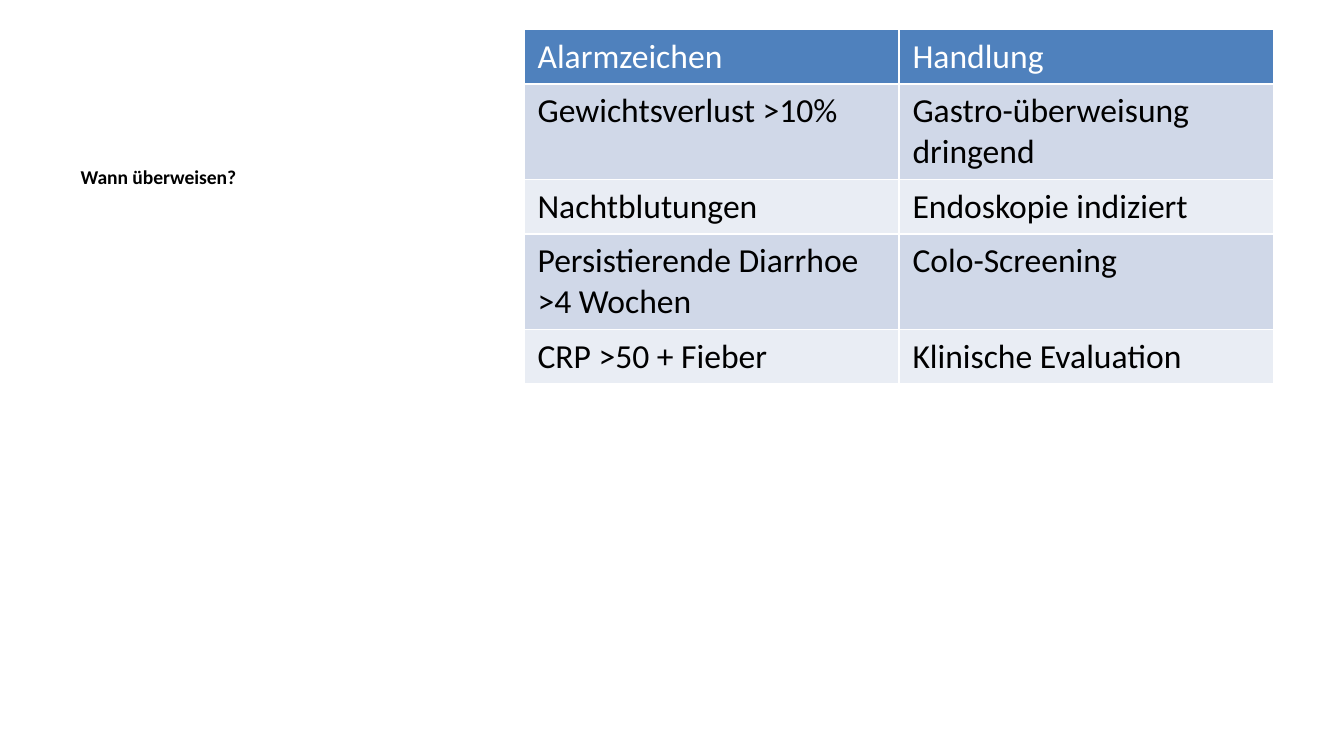
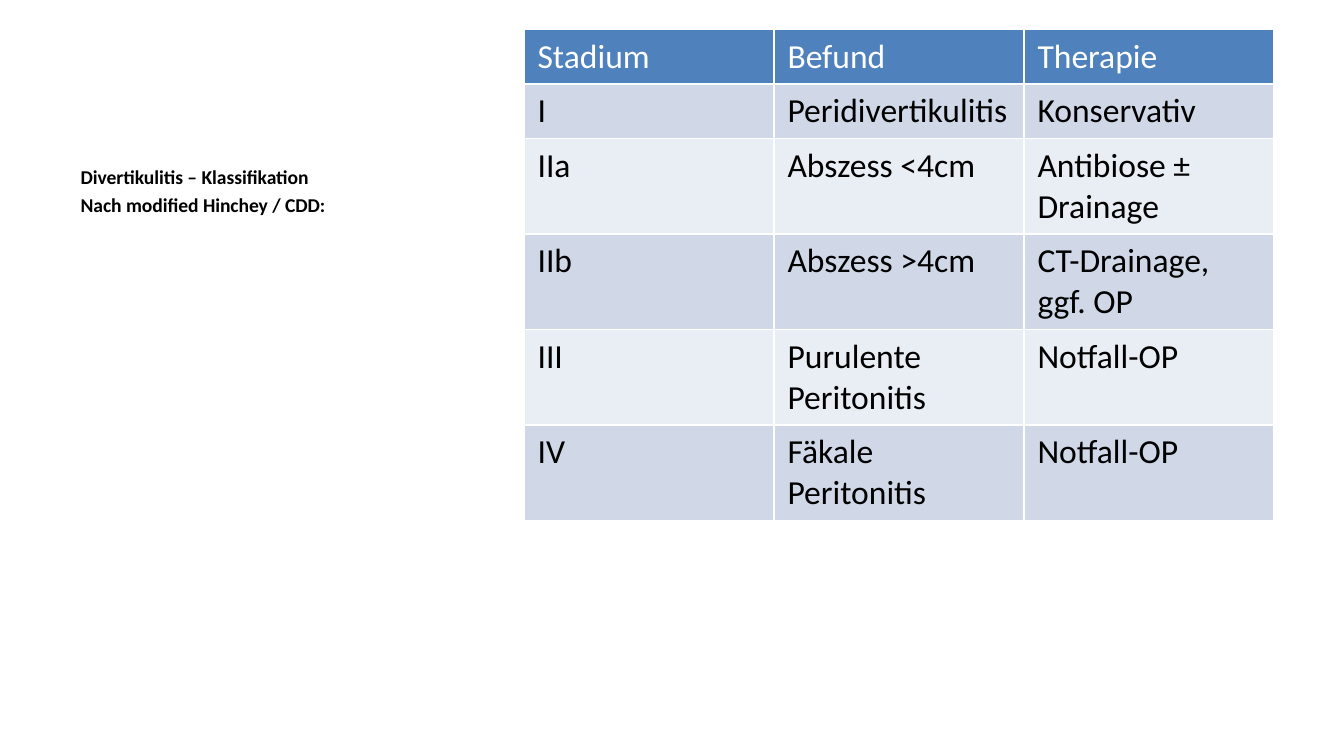
"""Build two slides, each with a caption on the left and a table on the right."""
from pptx import Presentation
from pptx.dml.color import RGBColor
from pptx.util import Inches, Pt

FONT = "Calibri"
BLACK, WHITE, HEAD = "000000", "FFFFFF", "4F81BD"
BANDS = ("D0D8E8", "E9EDF4")
CAPTION_LAYOUT, BODY = 7, 2
WIDTH = Inches(10)
HEIGHT = WIDTH * 9 // 16
TEXT_BOX = (0.5, 1.18, 3.29, 3.85)
GRID_BOX = (3.9, 0.22, 5.58, 4.79)

SLIDES = [
    (
        ["Wann überweisen?"],
        [
            ("Alarmzeichen", "Handlung"),
            ("Gewichtsverlust >10%", "Gastro-überweisung dringend"),
            ("Nachtblutungen", "Endoskopie indiziert"),
            ("Persistierende Diarrhoe >4 Wochen", "Colo-Screening"),
            ("CRP >50 + Fieber", "Klinische Evaluation"),
        ],
    ),
    (
        ["Divertikulitis – Klassifikation", "Nach modified Hinchey / CDD:"],
        [
            ("Stadium", "Befund", "Therapie"),
            ("I", "Peridivertikulitis", "Konservativ"),
            ("IIa", "Abszess <4cm", "Antibiose ± Drainage"),
            ("IIb", "Abszess >4cm", "CT-Drainage, ggf. OP"),
            ("III", "Purulente Peritonitis", "Notfall-OP"),
            ("IV", "Fäkale Peritonitis", "Notfall-OP"),
        ],
    ),
]


def color(code):
    return RGBColor.from_string(code)


def style(para, size, code, bold):
    font = para.font
    font.name, font.size, font.bold = FONT, Pt(size), bold
    font.color.rgb = color(code)


def add_text(slide, lines):
    for holder in list(slide.placeholders):
        if holder.placeholder_format.idx != BODY:
            holder.element.getparent().remove(holder.element)
    body = slide.placeholders[BODY]
    body.left, body.top, body.width, body.height = map(Inches, TEXT_BOX)
    frame = body.text_frame
    frame.text = "\n".join(lines)
    for para in frame.paragraphs:
        style(para, 10.5, BLACK, True)
    frame.paragraphs[0].space_before = Pt(30)


def add_grid(slide, rows):
    shape = slide.shapes.add_table(len(rows), len(rows[0]), *map(Inches, GRID_BOX))
    table = shape.table
    for row in table.rows:
        row.height = 0
    shape.height = Inches(GRID_BOX[3])
    for r, row in enumerate(rows):
        for c, text in enumerate(row):
            cell = table.cell(r, c)
            cell.text = text
            cell.fill.solid()
            cell.fill.fore_color.rgb = color(BANDS[(r - 1) % 2] if r else HEAD)
            style(cell.text_frame.paragraphs[0], 18, BLACK if r else WHITE, False)


def main():
    deck = Presentation()
    deck.slide_width, deck.slide_height = WIDTH, HEIGHT
    for lines, rows in SLIDES:
        slide = deck.slides.add_slide(deck.slide_layouts[CAPTION_LAYOUT])
        add_text(slide, lines)
        add_grid(slide, rows)
    deck.save("out.pptx")


if __name__ == "__main__":
    main()
